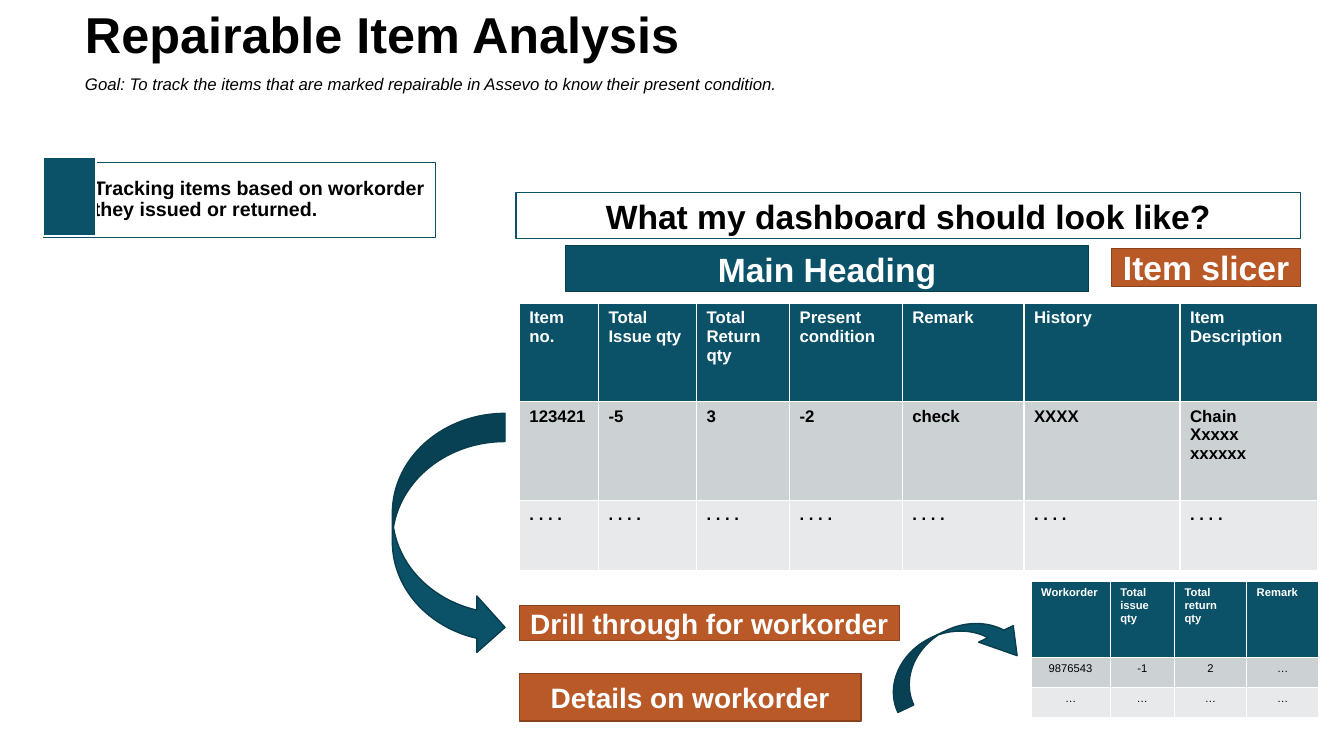
import pptx
import pptx.util
import pptx.dml.color
import pptx.enum.shapes
import pptx.enum.text
import pptx.oxml
import pptx.oxml.ns
import lxml.etree

Pt = pptx.util.Pt
RGBColor = pptx.dml.color.RGBColor
FORM = pptx.enum.shapes.MSO_SHAPE
ALIGN = pptx.enum.text.PP_ALIGN
ANCHOR = pptx.enum.text.MSO_ANCHOR

BLACK = RGBColor(0x00, 0x00, 0x00)
WHITE = RGBColor(0xFF, 0xFF, 0xFF)
TEAL = RGBColor(0x0B, 0x52, 0x68)
NAVY = RGBColor(0x08, 0x3D, 0x4D)
RUST = RGBColor(0xB9, 0x59, 0x27)
BROWN = RGBColor(0x89, 0x42, 0x1D)
GRAY = RGBColor(0xCC, 0xD1, 0xD4)
PALE = RGBColor(0xE7, 0xE9, 0xEB)


def write(frame, text, size=12, bold=False, italic=False, color=BLACK,
          align=ALIGN.LEFT, pitch=1.0):
    frame.word_wrap = True
    frame.text = text
    for para in frame.paragraphs:
        para.alignment = align
        para.line_spacing = pitch
        para.space_before = para.space_after = Pt(0)
        font = para.font
        font.name = "Arial"
        font.size = Pt(size)
        font.bold = bold
        font.italic = italic
        font.color.rgb = color


def place(shape, left, top, width, height):
    shape.left, shape.top = Pt(left), Pt(top)
    shape.width, shape.height = Pt(width), Pt(height)


def add_head(shape, box, text, **style):
    place(shape, *box)
    frame = shape.text_frame
    frame.auto_size = pptx.enum.text.MSO_AUTO_SIZE.NONE
    frame.vertical_anchor = ANCHOR.MIDDLE
    write(frame, text, pitch=0.9, **style)


def clear_bullet(frame):
    props = frame.paragraphs[0]._p.get_or_add_pPr()
    props.set("marL", "0")
    props.set("indent", "0")
    lxml.etree.SubElement(props, pptx.oxml.ns.qn("a:buNone"))


def add_form(slide, kind, box, fill, line, weight=1):
    shape = slide.shapes.add_shape(kind, *map(Pt, box))
    shape.shadow.inherit = False
    shape.fill.solid()
    shape.fill.fore_color.rgb = fill
    shape.line.color.rgb = line
    shape.line.width = Pt(weight)
    return shape


def add_label(slide, box, text, fill, line, size, color=WHITE):
    shape = add_form(slide, FORM.RECTANGLE, box, fill, line)
    frame = shape.text_frame
    frame.margin_left = frame.margin_right = Pt(0)
    frame.vertical_anchor = ANCHOR.MIDDLE
    write(frame, text, size=size, bold=True, color=color, align=ALIGN.CENTER)


def add_arrow(slide, box, turn):
    shape = add_form(slide, FORM.CURVED_UP_ARROW, box, TEAL, NAVY)
    shape.rotation = turn
    return shape


def add_grid(slide, left, top, widths, heights, rows, size, bold, align):
    box = left, top, sum(widths), sum(heights)
    grid = slide.shapes.add_table(len(rows), len(widths), *map(Pt, box)).table
    for col, width in zip(grid.columns, widths):
        col.width = Pt(width)
    for i, (row, height) in enumerate(zip(rows, heights)):
        grid.rows[i].height = Pt(height)
        for j, text in enumerate(row):
            cell = grid.cell(i, j)
            cell.fill.solid()
            cell.fill.fore_color.rgb = (TEAL, GRAY, PALE)[i]
            if i == 0:
                write(cell.text_frame, text, size=size, bold=True, color=WHITE)
            else:
                write(cell.text_frame, text, size=size, bold=bold, align=align)


def add_note(slide):
    box = 31, 116, 280, 53.5
    panel = add_form(slide, FORM.RECTANGLE, box, WHITE, TEAL, 0.5)
    tint = panel._element.spPr.find(".//" + pptx.oxml.ns.qn("a:srgbClr"))
    lxml.etree.SubElement(tint, pptx.oxml.ns.qn("a:alpha"), val="40000")
    frame = panel.text_frame
    frame.margin_left, frame.margin_right = Pt(36), Pt(4)
    frame.margin_top = frame.margin_bottom = Pt(4)
    frame.vertical_anchor = ANCHOR.MIDDLE
    write(frame, "Tracking items based on workorder they issued or returned.",
          size=14, bold=True, pitch=0.9)
    add_form(slide, FORM.RECTANGLE, (31, 112.5, 37.5, 56), TEAL, WHITE)


def main():
    deck = pptx.Presentation()
    deck.slide_width, deck.slide_height = Pt(960), Pt(540)
    slide = deck.slides.add_slide(deck.slide_layouts[1])

    title, goal = slide.placeholders
    add_head(title, (53.5, 0, 757.5, 52.5), "Repairable Item Analysis",
             size=36, bold=True)
    add_head(goal, (53.5, 47.5, 757.5, 26.5),
             "Goal: To track the items that are marked repairable in Assevo "
             "to know their present condition.", size=12, italic=True)
    clear_bullet(goal.text_frame)

    items = [
        ["Item no.", "Total Issue qty", "Total Return qty", "Present condition",
         "Remark", "History", "Item Description"],
        ["123421", "-5", "3", "-2", "check", "XXXX", "Chain\nXxxxx\nxxxxxx"],
        [". . . ."] * 7,
    ]
    add_grid(slide, 371, 216.5, [56.5, 70, 66.5, 80.5, 87, 111.5, 98.5],
             [70.5, 70.5, 50], items, 12, True, ALIGN.LEFT)

    add_label(slide, (371, 432.5, 271.5, 25), "Drill through for workorder",
              RUST, BROWN, 20)
    add_arrow(slide, (234, 341.5, 173, 80.5), 90)
    add_label(slide, (794, 177.5, 135, 27), "Item slicer", RUST, BROWN, 24)
    add_label(slide, (404, 175.5, 373.5, 33), "Main Heading", TEAL, NAVY, 24)
    add_label(slide, (368.5, 137.5, 560.5, 33),
              "What my dashboard should look like?", WHITE, TEAL, 24, BLACK)

    orders = [
        ["Workorder", "Total issue qty", "Total return qty", "Remark"],
        ["9876543", "-1", "2", "…"],
        ["…"] * 4,
    ]
    add_grid(slide, 736.5, 415.5, [56.5, 46, 51.5, 51.5],
             [54, 21.5, 21.5], orders, 8, False, ALIGN.CENTER)

    add_label(slide, (371, 481, 244, 34), "Details on workorder",
              RUST, BROWN, 20)
    swoop = add_arrow(slide, (628, 449.5, 108, 38), 154.5)
    swoop._element.spPr.xfrm.set("flipH", "1")
    for i, value in enumerate((0.33, 0.72, 0.54)):
        swoop.adjustments[i] = value

    add_note(slide)
    deck.save("out.pptx")


if __name__ == "__main__":
    main()
